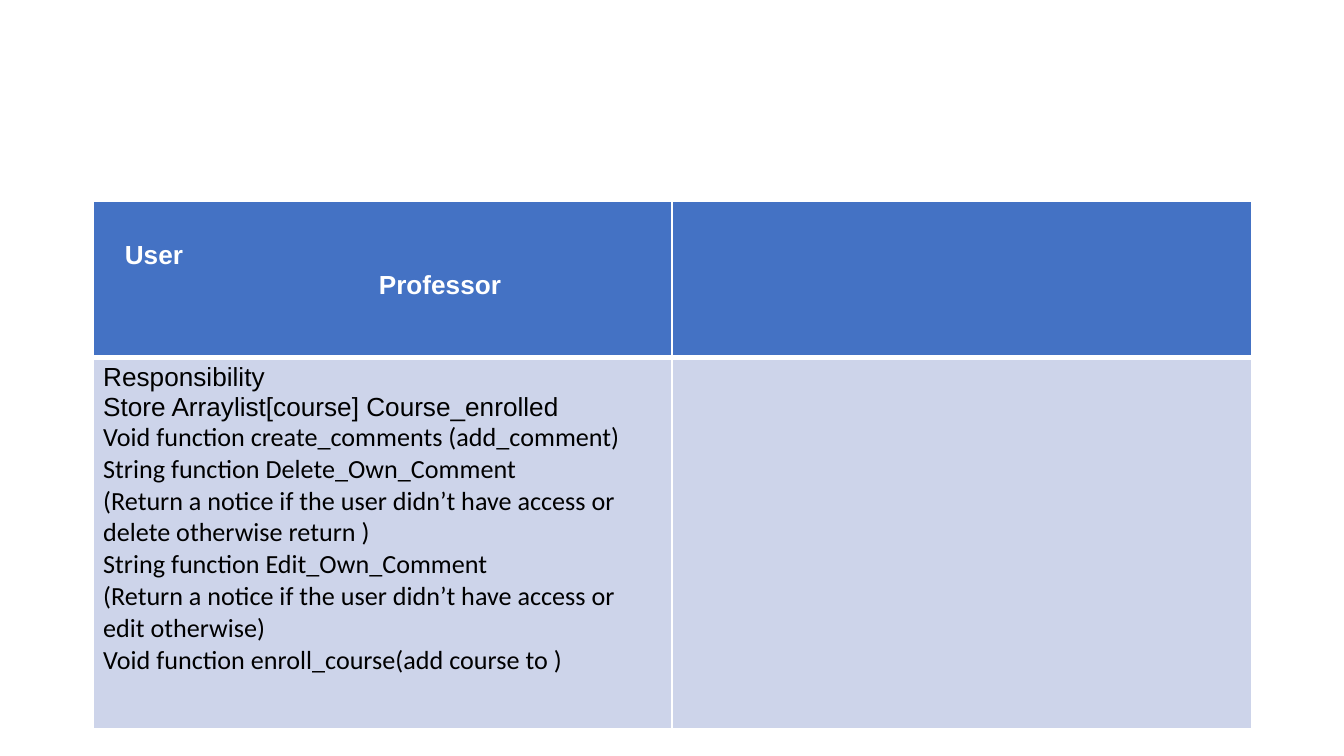
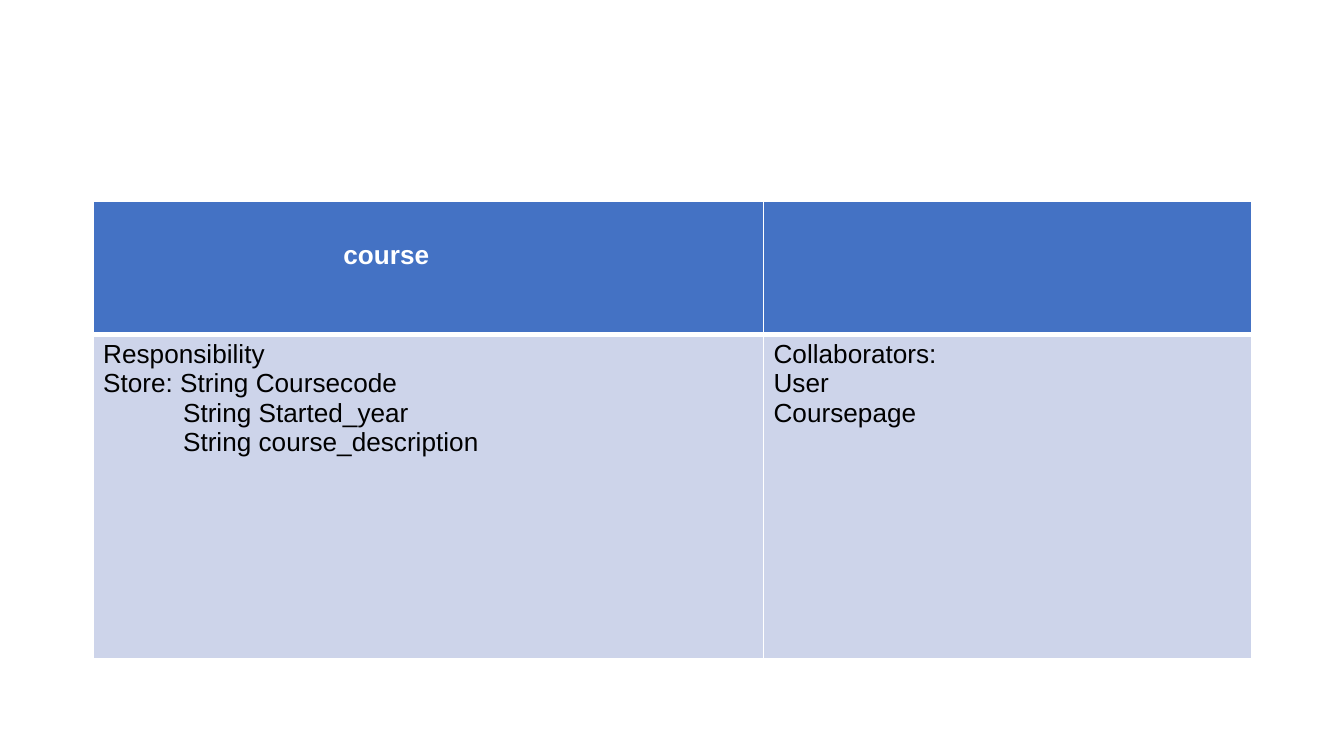
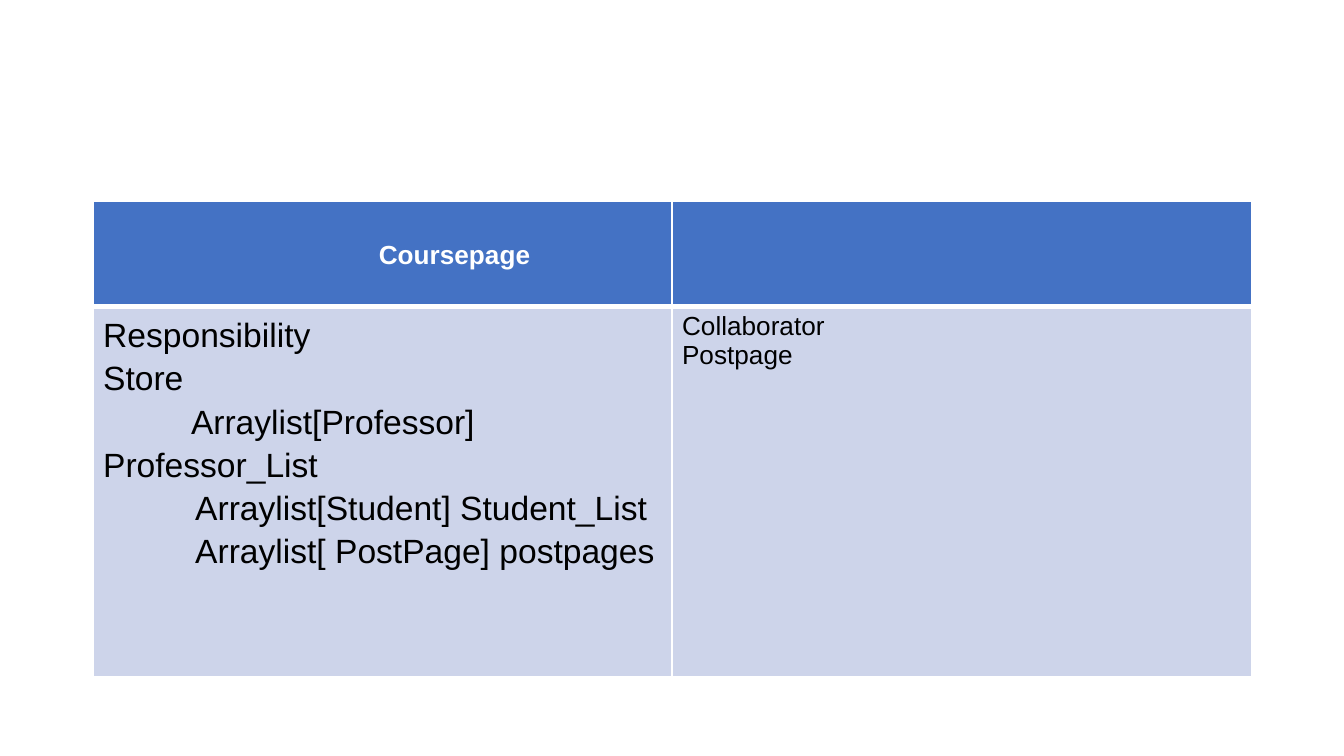
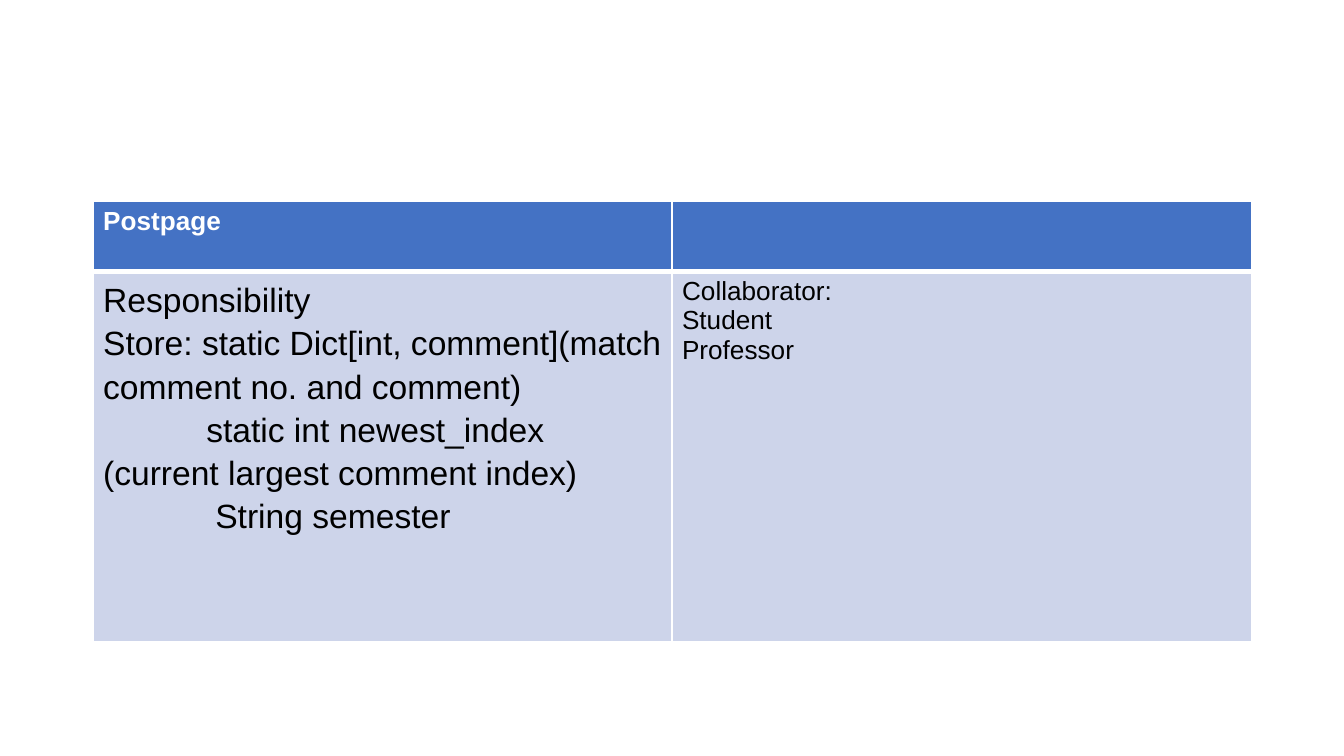
from dataclasses import dataclass

from lxml import etree
from pptx import Presentation
from pptx.dml.color import RGBColor
from pptx.enum.text import MSO_ANCHOR
from pptx.oxml.ns import qn
from pptx.slide import Slide
from pptx.table import _Cell
from pptx.text.text import _Paragraph
from pptx.util import Cm, Length, Pt

TOP = MSO_ANCHOR.TOP
BLANK_LAYOUT = 6


@dataclass(frozen=True)
class Theme:
    header_fill: str = "4472C4"
    body_fill: str = "CDD4EA"
    border: str = "FFFFFF"
    header_text: str = "FFFFFF"
    body_text: str = "000000"
    font: str = "Arial"
    method_font: str = "Calibri"
    size: Length = Pt(14)
    large_size: Length = Pt(18)
    large_spacing: float = 1.15
    thin_border: Length = Pt(1)
    thick_border: Length = Pt(3)


THEME = Theme()
SLIDE_WIDTH, SLIDE_HEIGHT = Cm(25.4), Cm(14.29)
CARD_LEFT, CARD_TOP, CARD_WIDTH = Cm(1.76), Cm(3.81), Cm(21.89)
SIDE_MARGIN, TOP_MARGIN = Cm(0.19), Cm(0.1)
HEADER_DROP = Cm(0.65)


@dataclass(frozen=True)
class Line:
    text: str
    indent: float = 0
    font: str = THEME.font
    large: bool = False


@dataclass(frozen=True)
class Card:
    header: tuple[Line, ...]
    responsibilities: tuple[Line, ...]
    collaborators: tuple[Line, ...]
    header_height: float
    body_height: float
    first_width: float = 10.94
    header_drop: Length = HEADER_DROP


def method(text: str) -> Line:
    return Line(text, font=THEME.method_font)


def large(text: str, indent: float = 0) -> Line:
    return Line(text, indent, large=True)


CARDS = (
    Card(
        header=(Line("User", 0.41), Line("Professor", 5.21)),
        responsibilities=(
            Line("Responsibility"),
            Line("Store Arraylist[course] Course_enrolled"),
            method("Void function create_comments (add_comment)"),
            method("String function Delete_Own_Comment"),
            method("(Return a notice if the user didn’t have access or delete otherwise return )"),
            method("String function Edit_Own_Comment"),
            method("(Return a notice if the user didn’t have access or edit otherwise)"),
            method("Void function enroll_course(add course to )"),
        ),
        collaborators=(),
        header_height=2.95,
        body_height=7.02,
    ),
    Card(
        header=(Line("course", 4.54),),
        responsibilities=(
            Line("Responsibility"),
            Line("Store: String Coursecode"),
            Line("String Started_year", 1.51),
            Line("String course_description", 1.51),
        ),
        collaborators=(Line("Collaborators:"), Line("User"), Line("Coursepage")),
        header_height=2.51,
        body_height=6.14,
        first_width=12.67,
    ),
    Card(
        header=(Line("Coursepage", 5.21),),
        responsibilities=(
            large("Responsibility"),
            large("Store"),
            large("Arraylist[Professor] Professor_List", 1.66),
            large("Arraylist[Student] Student_List", 1.74),
            large("Arraylist[ PostPage] postpages", 1.74),
        ),
        collaborators=(Line("Collaborator"), Line("Postpage")),
        header_height=1.98,
        body_height=7,
    ),
    Card(
        header=(Line("Postpage"),),
        responsibilities=(
            large("Responsibility"),
            large("Store: static Dict[int, comment](match comment no. and comment)"),
            large("static int newest_index (current largest comment index)", 1.95),
            large("String semester", 2.12),
        ),
        collaborators=(Line("Collaborator:"), Line("Student"), Line("Professor")),
        header_height=1.32,
        body_height=7,
        header_drop=Cm(0),
    ),
)


def set_borders(cell: _Cell, bottom: Length, top: Length) -> None:
    properties = cell._tc.get_or_add_tcPr()
    widths = {"a:lnL": THEME.thin_border, "a:lnR": THEME.thin_border, "a:lnT": top, "a:lnB": bottom}
    for side, width in widths.items():
        border = etree.SubElement(properties, qn(side), w=str(int(width)))
        fill = etree.SubElement(border, qn("a:solidFill"))
        etree.SubElement(fill, qn("a:srgbClr"), val=THEME.border)


def write_line(paragraph: _Paragraph, line: Line, color: str, bold: bool) -> None:
    paragraph.text = line.text
    paragraph.font.name = line.font
    paragraph.font.size = THEME.large_size if line.large else THEME.size
    paragraph.font.bold = bold
    paragraph.font.color.rgb = RGBColor.from_string(color)
    if line.large:
        paragraph.line_spacing = THEME.large_spacing
    if line.indent:
        properties = paragraph._p.get_or_add_pPr()
        properties.set("marL", "0")
        properties.set("indent", str(int(Cm(line.indent))))


def fill_cell(cell: _Cell, lines: tuple[Line, ...], is_header: bool, drop: Length) -> None:
    thin, thick = THEME.thin_border, THEME.thick_border
    set_borders(cell, bottom=thick if is_header else thin, top=thin if is_header else thick)
    cell.fill.solid()
    cell.fill.fore_color.rgb = RGBColor.from_string(THEME.header_fill if is_header else THEME.body_fill)
    cell.vertical_anchor = TOP
    cell.margin_left = cell.margin_right = SIDE_MARGIN
    cell.margin_top = TOP_MARGIN + drop
    cell.margin_bottom = TOP_MARGIN
    color = THEME.header_text if is_header else THEME.body_text
    for index, line in enumerate(lines):
        paragraph = cell.text_frame.add_paragraph() if index else cell.text_frame.paragraphs[0]
        write_line(paragraph, line, color, is_header)


def draw_card(slide: Slide, card: Card) -> None:
    header_height, body_height = Cm(card.header_height), Cm(card.body_height)
    table = slide.shapes.add_table(
        2, 2, CARD_LEFT, CARD_TOP, CARD_WIDTH, header_height + body_height
    ).table
    table.horz_banding = False
    table.columns[0].width = Cm(card.first_width)
    table.columns[1].width = CARD_WIDTH - Cm(card.first_width)
    table.rows[0].height = header_height
    table.rows[1].height = body_height
    fill_cell(table.cell(0, 0), card.header, True, card.header_drop)
    fill_cell(table.cell(0, 1), (), True, Cm(0))
    fill_cell(table.cell(1, 0), card.responsibilities, False, Cm(0))
    fill_cell(table.cell(1, 1), card.collaborators, False, Cm(0))


def main() -> None:
    deck = Presentation()
    deck.slide_width, deck.slide_height = SLIDE_WIDTH, SLIDE_HEIGHT
    for card in CARDS:
        draw_card(deck.slides.add_slide(deck.slide_layouts[BLANK_LAYOUT]), card)
    deck.save("out.pptx")


main()
